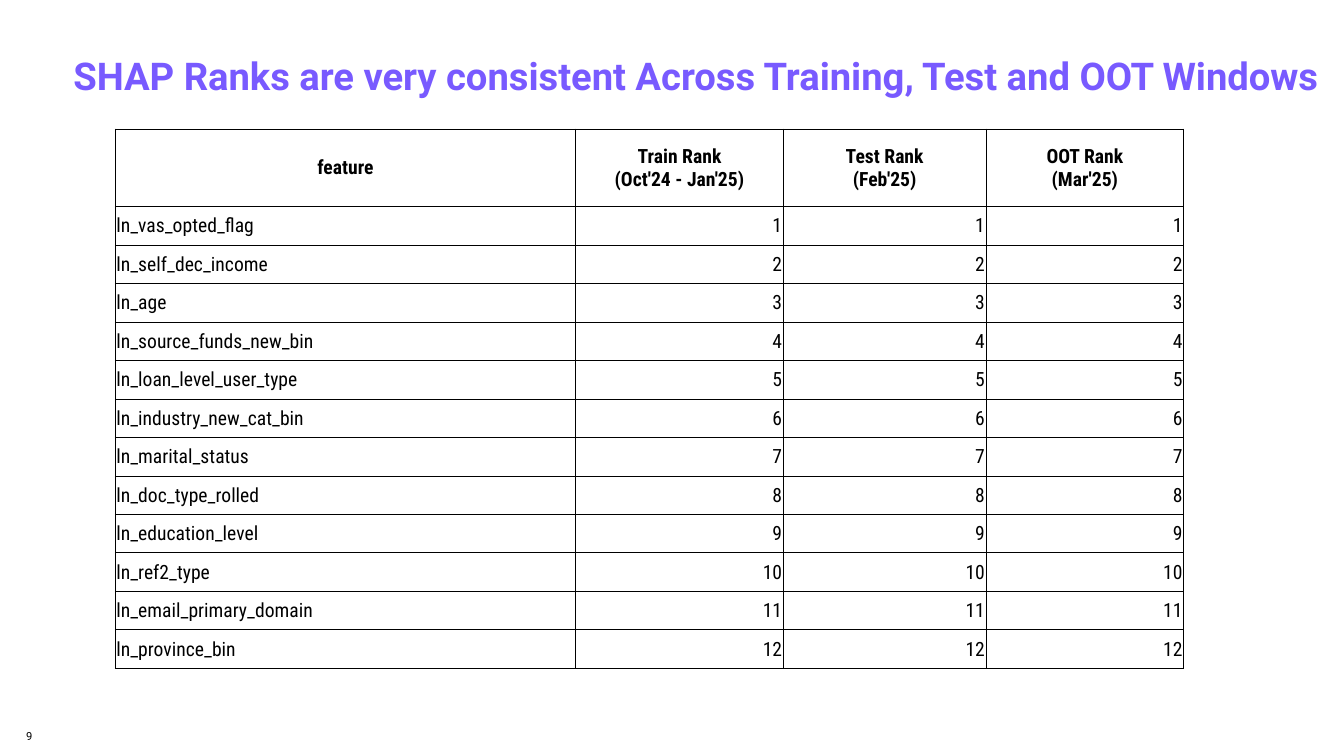
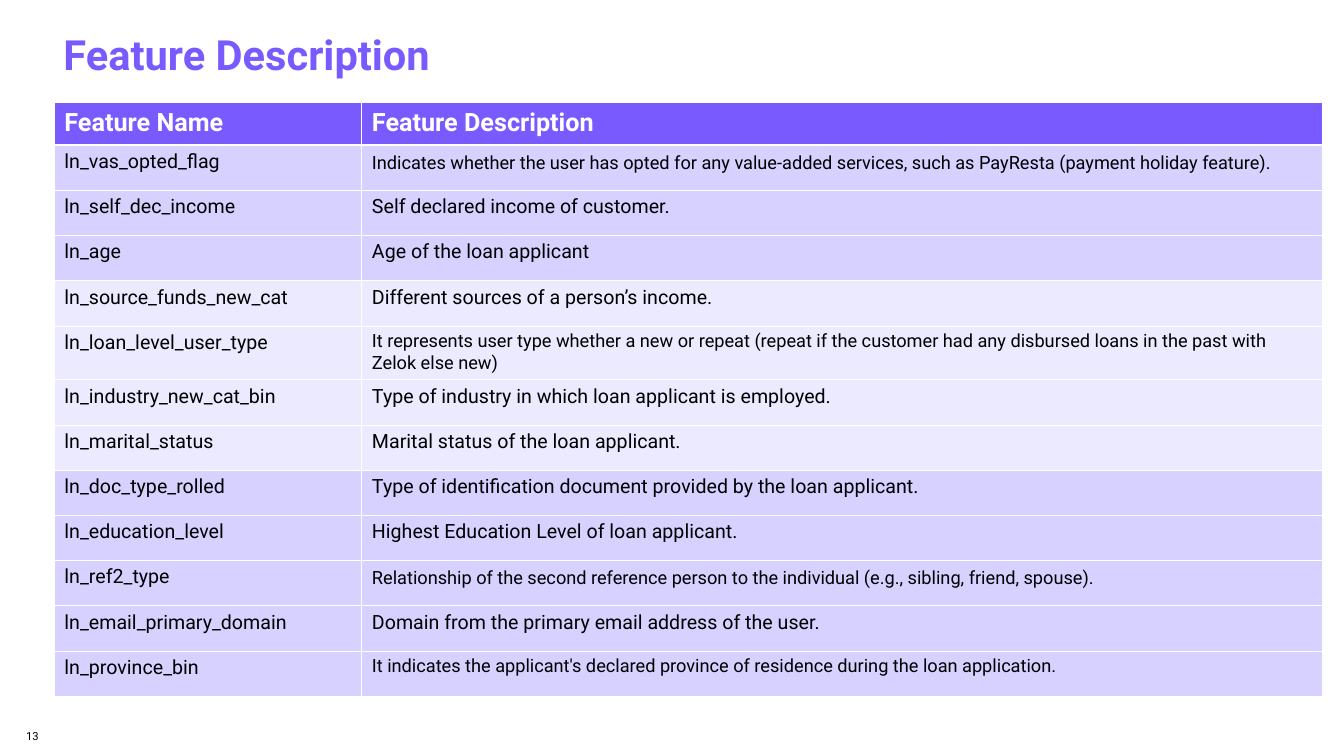
import lxml.etree
import pptx
import pptx.dml.color
import pptx.enum.text
import pptx.oxml.ns
import pptx.util

Cm = pptx.util.Cm
Pt = pptx.util.Pt
ALIGN = pptx.enum.text.PP_ALIGN
ANCHOR = pptx.enum.text.MSO_ANCHOR

PURPLE, DARK, LIGHT = "785AFF", "D6D1FF", "ECEAFF"
BLACK, WHITE = "000000", "FFFFFF"

FACTS = [
    ("ln_vas_opted_flag", "Indicates whether the user has opted for any value-added services, such as PayResta (payment holiday feature).", 13, Pt(16.5)),
    ("ln_self_dec_income", "Self declared income of customer.", 14, Pt(16.5)),
    ("ln_age", "Age of the loan applicant", 14, Pt(16.5)),
    ("ln_source_funds_new_cat", "Different sources of a person’s income.", 14, Pt(16.5)),
    ("ln_loan_level_user_type", "It represents user type whether a new or repeat (repeat if the customer had any disbursed loans in the past with Zelok else new)", 13, 1.0),
    ("ln_industry_new_cat_bin", "Type of industry in which loan applicant is employed.", 14, Pt(16.5)),
    ("ln_marital_status", "Marital status of the loan applicant.", 14, Pt(16.5)),
    ("ln_doc_type_rolled", "Type of identification document provided by the loan applicant.", 14, Pt(16.5)),
    ("ln_education_level", "Highest Education Level of loan applicant.", 14, Pt(16.5)),
    ("ln_ref2_type", "Relationship of the second reference person to the individual (e.g., sibling, friend, spouse).", 13, Pt(16.5)),
    ("ln_email_primary_domain", "Domain from the primary email address of the user.", 14, Pt(16.5)),
    ("ln_province_bin", "It indicates the applicant's declared province of residence during the loan application.", 13, 1.0),
]
HEADS = ["feature", "Train Rank\n(Oct'24 - Jan'25)", "Test Rank\n(Feb'25)", "OOT Rank\n(Mar'25)"]


def tint(code):
    return pptx.dml.color.RGBColor.from_string(code)


def put(thing, values):
    for key, value in values.items():
        setattr(thing, key, value)


class Deck:
    face = "Roboto"

    def __init__(self):
        self.file = pptx.Presentation()
        put(self.file, {"slide_width": Cm(33.87), "slide_height": Cm(19.05)})
        self.slide = None

    def say(self, frame, words, size, color=BLACK, bold=False, face=face, **form):
        frame.text = words
        for para in frame.paragraphs:
            put(para, form)
            for run in para.runs:
                put(run.font, {"name": face, "size": Pt(size), "bold": bold})
                run.font.color.rgb = tint(color)

    def label(self, box, words, size, anchor=ANCHOR.TOP, **form):
        frame = self.slide.shapes.add_textbox(*map(Cm, box)).text_frame
        put(frame, {"word_wrap": True, "margin_right": 0, "vertical_anchor": anchor})
        self.say(frame, words, size, **form)

    def page(self, number, title, left, top, size, space):
        self.slide = self.file.slides.add_slide(self.file.slide_layouts[6])
        self.label((left, top, 31.93, 1.8), title, size, ANCHOR.BOTTOM,
                   color=PURPLE, bold=True, line_spacing=space)
        self.label((0.41, 18.26, 7.42, 0.64), number, 8)

    def grid(self, left, top, widths, heights):
        frame = self.slide.shapes.add_table(
            len(heights), len(widths), Cm(left), Cm(top), Cm(sum(widths)), Cm(sum(heights)))
        table = frame.table
        put(table, {"first_row": False, "horz_banding": False})
        for col, width in zip(table.columns, widths):
            col.width = Cm(width)
        for row, height in zip(table.rows, heights):
            row.height = Cm(height)
        return table

    def edge(self, cell, color, **sides):
        props = cell._tc.get_or_add_tcPr()
        name = pptx.oxml.ns.qn
        for side in "LRTB":
            line = lxml.etree.SubElement(props, name(f"a:ln{side}"), w=str(Pt(sides[side])))
            fill = lxml.etree.SubElement(line, name("a:solidFill"))
            lxml.etree.SubElement(fill, name("a:srgbClr"), val=color)

    def cell(self, cell, words, size, fill, line, sides, trim=None, **form):
        put(cell, trim or {})
        self.edge(cell, line, **sides)
        cell.fill.solid()
        cell.fill.fore_color.rgb = tint(fill)
        self.say(cell.text_frame, words, size, **form)


def ranks(deck):
    deck.page("9", "SHAP Ranks are very consistent Across Training, Test and OOT Windows",
              1.6, 0.79, 27.3, 1.5)
    names = [fact[0].replace("funds_new_cat", "funds_new_bin") for fact in FACTS]
    rows = [HEADS] + [[name] + [str(rank)] * 3 for rank, name in enumerate(names, 1)]
    table = deck.grid(2.9, 3.25, [11.61, 5.23, 5.11, 4.98], [1.95] + [0.97] * len(names))
    tight = {"vertical_anchor": ANCHOR.MIDDLE, "margin_left": Cm(0.03),
             "margin_right": Cm(0.03), "margin_top": Cm(0.03), "margin_bottom": 0}
    for r, row in enumerate(rows):
        for c, words in enumerate(row):
            align = ALIGN.CENTER if r == 0 else ALIGN.RIGHT if c else ALIGN.LEFT
            deck.cell(table.cell(r, c), words, 14, WHITE, BLACK, dict.fromkeys("LRTB", 0.5),
                      tight, bold=r == 0, face="Roboto Condensed", alignment=align)


def facts(deck):
    deck.page("13", "Feature Description", 1.35, 0.3, 29.7, 1.3)
    table = deck.grid(1.37, 2.57, [7.75, 24.2], [1.09] + [1.14] * len(FACTS))
    thin = dict.fromkeys("LRTB", 0.75)
    for c, words in enumerate(["Feature Name", "Feature Description"]):
        deck.cell(table.cell(0, c), words, 18, PURPLE, WHITE, {**thin, "B": 1.94},
                  color=WHITE, bold=True, line_spacing=Pt(21.8))
    for r, (name, about, size, space) in enumerate(FACTS, 1):
        fill = LIGHT if 4 <= r <= 7 else DARK
        sides = {**thin, "T": 1.94} if r == 1 else thin
        pairs = [(name, 14, Pt(16.5)), (about, size, space)]
        for c, (words, points, gap) in enumerate(pairs):
            deck.cell(table.cell(r, c), words, points, fill, WHITE, sides, line_spacing=gap)


def main():
    deck = Deck()
    ranks(deck)
    facts(deck)
    deck.file.save("out.pptx")


if __name__ == "__main__":
    main()
